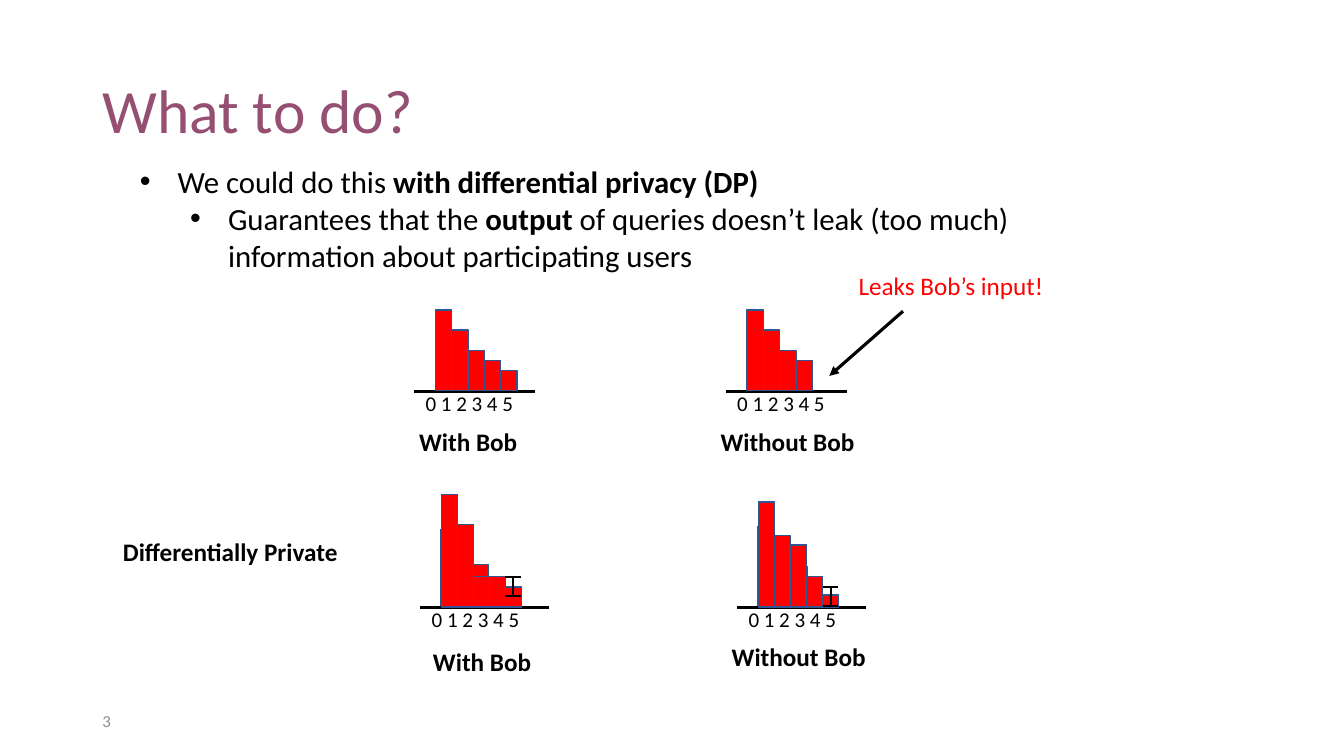
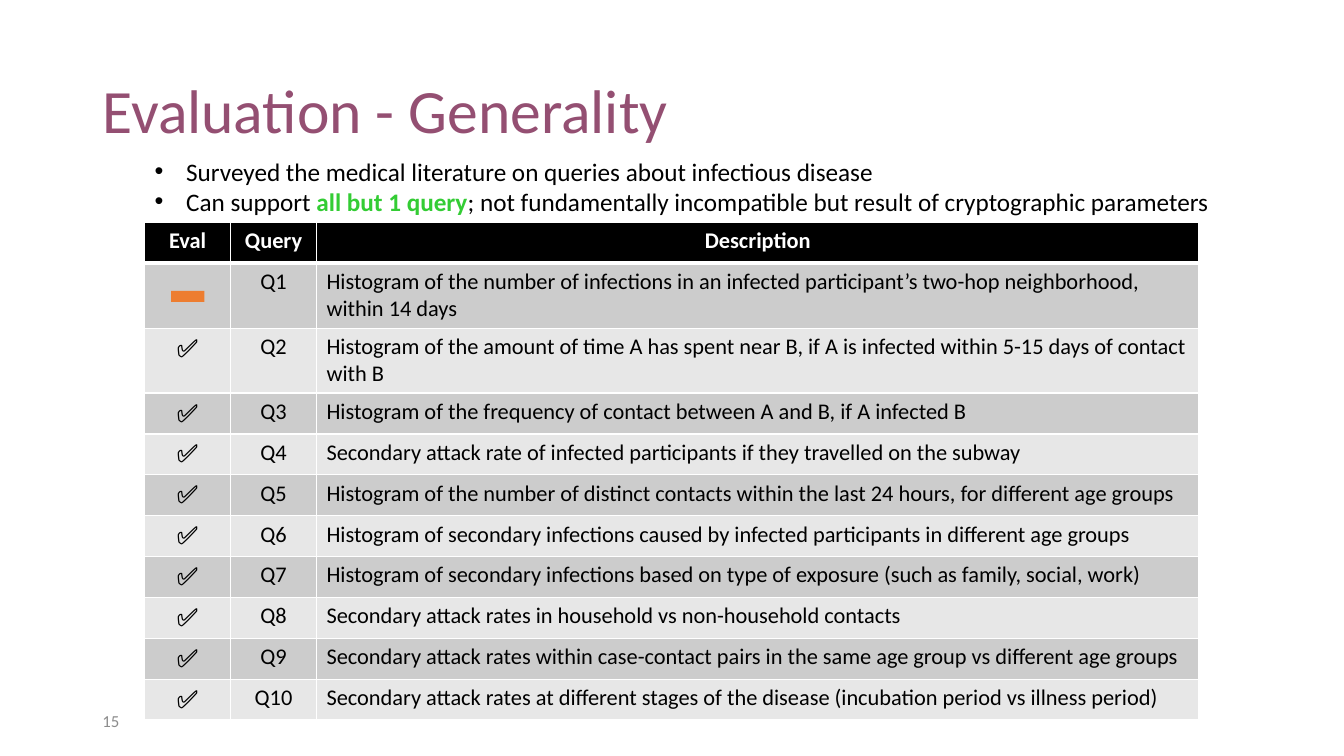
from pptx import Presentation
from pptx.enum import shapes, text
from pptx.dml.color import RGBColor
from pptx.oxml.ns import qn
from pptx.util import Pt
from lxml import etree

COLORS = {
    "title": "944F72", "ink": "000000", "paper": "FFFFFF", "number": "8C8C8C",
    "bar": "FF0000", "bar_edge": "325491", "good": "33CC34", "partial": "ED7D30",
    "odd_row": "CCCCCC", "even_row": "E7E7E7",
}
FONT = "Calibri"

# Content: a bullet is (level, runs); a run is (text, options)
BOLD = {"bold": True}
PRIVACY_BULLETS = [
    (0, [("We could do this ", {}), ("with differential privacy (DP)", BOLD)]),
    (1, [("Guarantees that the ", {}), ("output", BOLD),
         (" of queries doesn’t leak (too much) information about participating users", {})]),
]
SURVEY_BULLETS = [
    (0, [("Surveyed the medical literature on queries about infectious disease", {})]),
    (0, [("Can support ", {}), ("all but 1 query", {"bold": True, "color": "good"}),
         ("; not fundamentally incompatible but result of cryptographic parameters", {})]),
]

# Histograms: axis left, axis y, axis length, bar step, bar heights
HISTOGRAMS = [
    (295.8, 279.7, 86.4, 11.7, [57.6, 43.5, 28.8, 21.6, 14.4]),
    (518.4, 279.7, 86.4, 11.7, [57.6, 43.5, 28.8, 21.6]),
    (300.2, 434.2, 92.3, 11.4, [80.6, 59, 21.6, 21.6, 14.4]),
    (526.5, 434.2, 92.3, 11.4, [74.9, 51.1, 44.3, 21.6, 8.6]),
]
# True bars that stick out behind the noisy ones: left, height
TRUE_BARS = [(314.6, 55.4), (337, 30.2), (541.1, 57.6), (565, 28.8)]
BAR_WIDTH, NOISY_BASE = 11.7, 433.6
ERROR_BARS = [(366.3, 412.3), (593.3, 419.3)]  # centre x, top
CAPTIONS = [  # text, left, top, width, options
    ("With Bob", 292.3, 301, 85.7, BOLD),
    ("Without Bob", 507.6, 301, 111, BOLD),
    ("With Bob", 302.2, 458, 85.7, BOLD),
    ("Without Bob", 515.6, 454.7, 111, BOLD),
    ("Differentially Private", 80.7, 379.5, 170, BOLD),
    ("Leaks Bob’s input!", 606.2, 189.7, 147.6, {"color": "bar"}),
]

HEADINGS = ["Eval", "Query", "Description"]
QUERIES = [  # mark, description
    ("", "Histogram of the number of infections in an infected participant’s "
         "two-hop neighborhood, within 14 days"),
    ("✅", "Histogram of the amount of time A has spent near B, if A is infected "
          "within 5-15 days of contact with B"),
    ("✅", "Histogram of the frequency of contact between A and B, if A infected B"),
    ("✅", "Secondary attack rate of infected participants if they travelled on the subway"),
    ("✅", "Histogram of the number of distinct contacts within the last 24 hours, "
          "for different age groups"),
    ("✅", "Histogram of secondary infections caused by infected participants in "
          "different age groups"),
    ("✅", "Histogram of secondary infections based on type of exposure "
          "(such as family, social, work)"),
    ("✅", "Secondary attack rates in household vs non-household contacts"),
    ("✅", "Secondary attack rates within case-contact pairs in the same age group vs "
          "different age groups"),
    ("✅", "Secondary attack rates at different stages of the disease "
          "(incubation period vs illness period)"),
]


# Shared helpers
def rgb(name):
    return RGBColor.from_string(COLORS[name])


def add_run(para, words, size, color="ink", bold=False):
    span = para.add_run()
    span.text = words
    font = span.font
    font.name, font.size, font.bold = FONT, Pt(size), bold
    font.color.rgb = rgb(color)


def place(box, left, top, width, height):
    box.left, box.top, box.width, box.height = Pt(left), Pt(top), Pt(width), Pt(height)


def add_label(parent, words, left, top, width, height, size, **options):
    box = parent.add_textbox(Pt(left), Pt(top), Pt(width), Pt(height))
    box.text_frame.word_wrap = False
    add_run(box.text_frame.paragraphs[0], words, size, **options)
    return box


def add_rect(parent, left, top, width, height, fill, edge=None):
    rect = parent.add_shape(shapes.MSO_SHAPE.RECTANGLE,
                            Pt(left), Pt(top), Pt(width), Pt(height))
    rect.shadow.inherit = False
    rect.fill.solid()
    rect.fill.fore_color.rgb = rgb(fill)
    if edge:
        rect.line.color.rgb = rgb(edge)
        rect.line.width = Pt(1)
    else:
        rect.line.fill.background()


def add_line(parent, x1, y1, x2, y2, width, arrow=False):
    line = parent.add_connector(shapes.MSO_CONNECTOR.STRAIGHT,
                                Pt(x1), Pt(y1), Pt(x2), Pt(y2))
    line.line.color.rgb = rgb("ink")
    line.line.width = Pt(width)
    if arrow:
        etree.SubElement(line.line._get_or_add_ln(), qn("a:tailEnd"), type="triangle")
    etree.SubElement(line._element.spPr, qn("a:effectLst"))


def add_page(deck, title, number, bullets, body_area, size, indent):
    page = deck.slides.add_slide(deck.slide_layouts[1])
    # Title
    heading = page.shapes.title
    place(heading, 66, 29, 828, 104.4)
    frame = heading.text_frame
    frame.vertical_anchor = text.MSO_ANCHOR.MIDDLE
    frame.auto_size = text.MSO_AUTO_SIZE.NONE
    para = frame.paragraphs[0]
    para.alignment, para.line_spacing = text.PP_ALIGN.LEFT, 0.9
    add_run(para, title, 44, "title")
    # Bullets
    body = page.placeholders[1]
    place(body, *body_area)
    frame = body.text_frame
    frame.auto_size = text.MSO_AUTO_SIZE.NONE
    for i, (level, runs) in enumerate(bullets):
        para = frame.add_paragraph() if i else frame.paragraphs[0]
        para.level, para.space_before = level, Pt(0)
        props = para._p.get_or_add_pPr()
        props.set("marL", str(Pt(indent + 36 * level)))
        props.set("indent", str(-Pt(indent)))
        etree.SubElement(props, qn("a:buFont"), typeface="Arial")
        etree.SubElement(props, qn("a:buChar"), char="•")
        for words, options in runs:
            add_run(para, words, size, **options)
    # Page number
    label = add_label(page.shapes, number, 66, 500.5, 216, 28.8, 12, color="number")
    label.text_frame.word_wrap = True
    label.text_frame.vertical_anchor = text.MSO_ANCHOR.MIDDLE
    return page


# Slide parts
def add_bar(parent, left, base, height):
    add_rect(parent, left, base - height, BAR_WIDTH, height, "bar", "bar_edge")


def add_histogram(page, left, axis_y, length, step, heights):
    parts = page.shapes.add_group_shape().shapes
    add_line(parts, left, axis_y, left + length, axis_y, 2)
    add_label(parts, "0 1 2 3 4 5", left + 1.1, axis_y - 4.6, 81.4, 25.2, 15)
    for i, height in enumerate(heights):
        add_bar(parts, left + 15.1 + i * step, axis_y - 0.6, height)


def add_error_bar(page, center, top, height=13.5, reach=5.6):
    parts = page.shapes.add_group_shape().shapes
    add_line(parts, center, top, center, top + height, 1.5)
    for y in (top, top + height):
        add_line(parts, center - reach, y, center + reach, y, 1.5)


def style_cell(cell, words, fill, size, centered, header):
    cell.fill.solid()
    cell.fill.fore_color.rgb = rgb(fill)
    para = cell.text_frame.paragraphs[0]
    if centered:
        para.alignment = text.PP_ALIGN.CENTER
    if words:
        add_run(para, words, size, "paper" if header else "ink", header)
    props = cell._tc.get_or_add_tcPr()
    for i, side in enumerate(("lnL", "lnR", "lnT", "lnB")):
        width = 3 if header and side == "lnB" else 1
        border = etree.Element(qn(f"a:{side}"), w=str(Pt(width)))
        paint = etree.SubElement(border, qn("a:solidFill"))
        etree.SubElement(paint, qn("a:srgbClr"), val=COLORS["paper"])
        props.insert(i, border)


def add_query_table(page):
    rows = [HEADINGS] + [(mark, f"Q{i}", words)
                         for i, (mark, words) in enumerate(QUERIES, 1)]
    widths = [61.4, 61.4, 630.4]
    table = page.shapes.add_table(len(rows), len(widths), Pt(103.3), Pt(158.8),
                                  Pt(sum(widths)), Pt(29.2 * len(rows))).table
    table.horz_banding = False
    for column, width in zip(table.columns, widths):
        column.width = Pt(width)
    for r, row in enumerate(rows):
        table.rows[r].height = Pt(46.4 if r in (1, 2) else 29.2)
        fill = "ink" if r == 0 else "odd_row" if r % 2 else "even_row"
        for c, words in enumerate(row):
            style_cell(table.cell(r, c), words, fill, 18 if r and c == 0 else 16,
                       c < 2 or r == 0, r == 0)


def main():
    deck = Presentation()
    deck.slide_width, deck.slide_height = Pt(960), Pt(540)

    # Differential privacy
    page = add_page(deck, "What to do?", "3", PRIVACY_BULLETS,
                    (92.7, 112.7, 646, 87), 22, 27)
    for left, height in TRUE_BARS:
        add_bar(page.shapes, left, NOISY_BASE, height)
    for histogram in HISTOGRAMS:
        add_histogram(page, *histogram)
    for center, top in ERROR_BARS:
        add_error_bar(page, center, top)
    for words, left, top, width, options in CAPTIONS:
        add_label(page.shapes, words, left, top, width, 29, 18, **options)
    add_line(page.shapes, 645, 222.3, 592.4, 268.5, 2.25, arrow=True)

    # Supported queries
    page = add_page(deck, "Evaluation - Generality", "15", SURVEY_BULLETS,
                    (103.3, 107.7, 776, 51), 18, 22.5)
    add_query_table(page)
    add_rect(page.shapes, 122.2, 207.8, 23.8, 7.9, "partial")

    deck.save("out.pptx")


if __name__ == "__main__":
    main()
